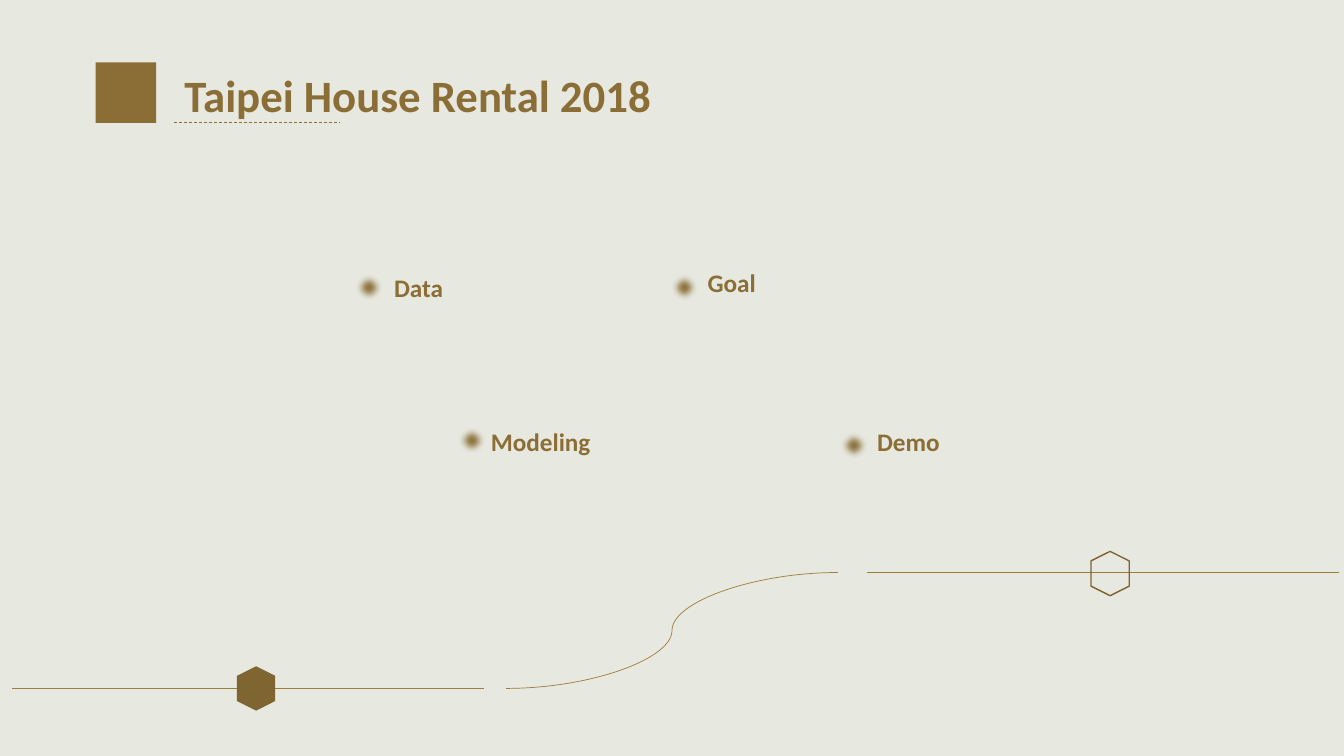
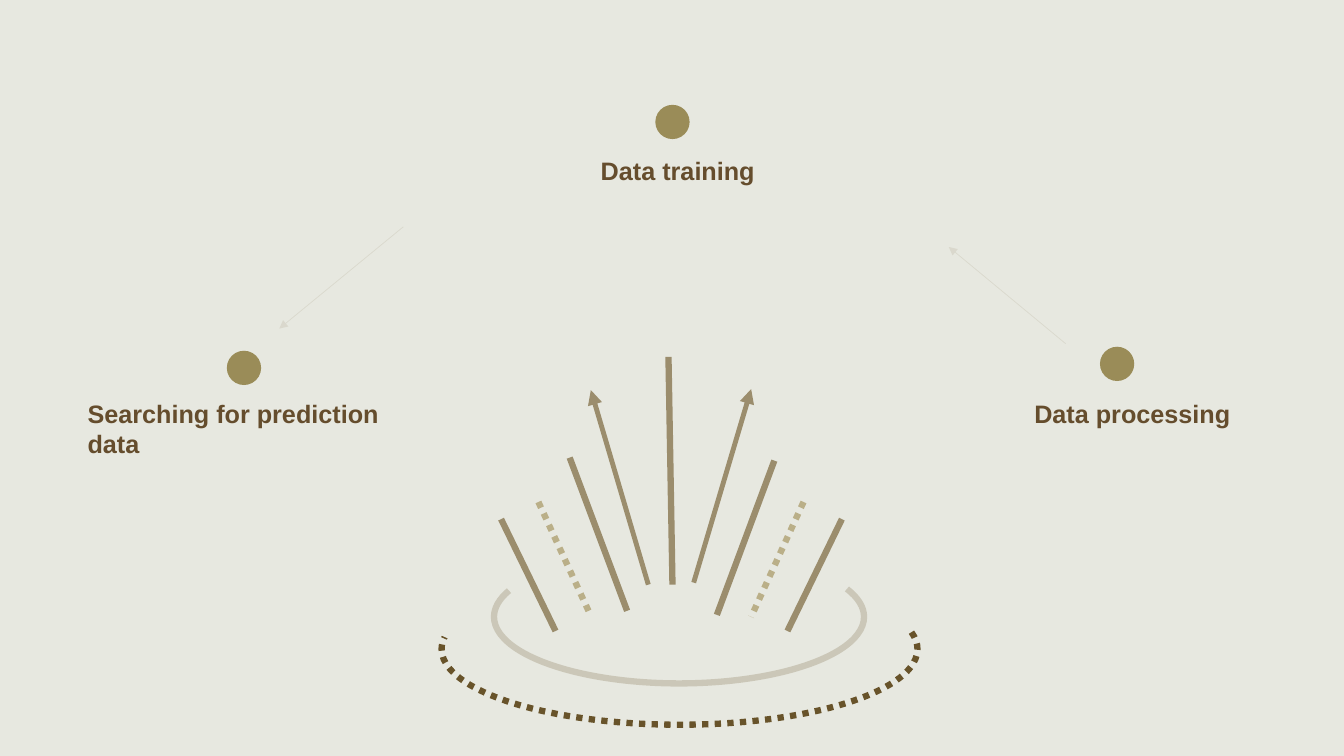
from lxml import etree
from pptx import Presentation
from pptx.dml.color import RGBColor
from pptx.enum.dml import MSO_LINE
from pptx.enum.shapes import MSO_CONNECTOR, MSO_SHAPE
from pptx.enum.text import MSO_AUTO_SIZE
from pptx.oxml.ns import qn
from pptx.util import Inches, Pt

RECTANGLE, ELLIPSE = MSO_SHAPE.RECTANGLE, MSO_SHAPE.OVAL
HEXAGON, ARC = MSO_SHAPE.HEXAGON, MSO_SHAPE.ARC
STRAIGHT, CURVE = MSO_CONNECTOR.STRAIGHT, MSO_CONNECTOR.CURVE
DASH, DOTS = MSO_LINE.DASH, MSO_LINE.ROUND_DOT
FIT_SHAPE = MSO_AUTO_SIZE.SHAPE_TO_FIT_TEXT

COLORS = {
    "background": "E7E8E0",
    "gold": "8A6E36",
    "path": "9D7D3D",
    "hexagon": "7F6531",
    "brown": "68532A",
    "ray": "9B8D6D",
    "dotted_ray": "BAAF88",
    "node": "9A8C58",
    "label": "654D2D",
}

TITLE = {"name": "Calibri", "size": Pt(32), "bold": True}
TOPIC = {"name": "Calibri", "size": Pt(18), "bold": True}
STEP = {"name": "Arial", "size": Pt(18), "bold": True}

TOPICS = [
    ("Data", 3.5, 2.69, 3.81, 2.65, 1.15),
    ("Goal", 6.63, 2.69, 6.92, 2.6, 1.68),
    ("Modeling", 4.52, 4.21, 4.77, 4.18, 1.31),
    ("Demo", 8.31, 4.26, 8.6, 4.18, 1.59),
]

STEPS = [
    ("Data training", 6.5, 1.04, 5.86, 1.49, 1.94),
    ("Searching for prediction data", 2.25, 3.48, 0.77, 3.9, 3.64),
    ("Data processing", 10.91, 3.44, 10.16, 3.9, 2.17),
]

SOLID_RAY = {"color": "ray", "weight": 4.5}
DOTTED_RAY = {"color": "dotted_ray", "weight": 4.5, "dash": DOTS}
ARROW_RAY = {"color": "ray", "weight": 3.5, "arrow": "headEnd"}

RAYS = [
    ((4.97, 5.15), (5.51, 6.26), SOLID_RAY),
    ((5.34, 4.98), (5.86, 6.11), DOTTED_RAY),
    ((5.65, 4.54), (6.22, 6.06), SOLID_RAY),
    ((5.86, 3.87), (6.43, 5.8), ARROW_RAY),
    ((6.63, 3.54), (6.67, 5.8), SOLID_RAY),
    ((7.45, 3.86), (6.88, 5.78), ARROW_RAY),
    ((7.68, 4.57), (7.11, 6.1), SOLID_RAY),
    ((7.97, 4.98), (7.45, 6.12), DOTTED_RAY),
    ((8.35, 5.15), (7.81, 6.26), SOLID_RAY),
]


def color_of(name):
    return RGBColor.from_string(COLORS[name])


def style_line(item, color, weight, dash=None, alpha=None, arrow=None):
    line = item.line
    line.color.rgb = color_of(color)
    line.width = Pt(weight)
    if dash is not None:
        line.dash_style = dash
    outline = item._element.spPr.find(qn("a:ln"))
    if alpha is not None:
        tint = outline.find(".//" + qn("a:srgbClr"))
        etree.SubElement(tint, qn("a:alpha"), val=str(alpha * 1000))
    if arrow:
        etree.SubElement(outline, qn("a:" + arrow), type="triangle")


def add_shape(page, kind, left, top, width, height, fill=None, line=None):
    shape = page.shapes.add_shape(
        kind, Inches(left), Inches(top), Inches(width), Inches(height))
    shape.shadow.inherit = False
    if fill:
        shape.fill.solid()
        shape.fill.fore_color.rgb = color_of(fill)
    else:
        shape.fill.background()
    if line:
        style_line(shape, **line)
    else:
        shape.line.fill.background()
    return shape


def add_soft_dot(page, left, top):
    dot = add_shape(page, ELLIPSE, left, top, 0.32, 0.32, "gold")
    effects = dot._element.spPr.find(qn("a:effectLst"))
    etree.SubElement(effects, qn("a:softEdge"), rad=str(Pt(5)))


def add_hexagon(page, left, top, **look):
    hexagon = add_shape(page, HEXAGON, left, top, 0.44, 0.38, **look)
    hexagon.rotation = 90


def add_arc(page, left, top, width, height, start, end, **line):
    arc = add_shape(page, ARC, left, top, width, height, line=line)
    for index, degrees in enumerate((start, end)):
        arc.adjustments[index] = degrees * 0.6


def add_line(page, start, end, kind=STRAIGHT, **look):
    connector = page.shapes.add_connector(
        kind, *[Inches(value) for value in (*start, *end)])
    style_line(connector, **look)
    etree.SubElement(connector._element.spPr, qn("a:effectLst"))


def add_text(page, text, left, top, width, height, font, color):
    box = page.shapes.add_textbox(
        Inches(left), Inches(top), Inches(width), Inches(height))
    box.text_frame.word_wrap = True
    box.text_frame.auto_size = FIT_SHAPE
    span = box.text_frame.paragraphs[0].add_run()
    span.text = text
    for attribute, value in font.items():
        setattr(span.font, attribute, value)
    span.font.color.rgb = color_of(color)


def add_page(deck):
    return deck.slides.add_slide(deck.slide_layouts[6])


def build_agenda(deck):
    page = add_page(deck)
    add_shape(page, RECTANGLE, 0.95, 0.62, 0.6, 0.6, "gold")
    add_text(page, "Taipei House Rental 2018",
             1.73, 0.62, 5.22, 0.64, TITLE, "gold")
    add_line(page, (1.73, 1.21), (3.37, 1.21),
             color="gold", weight=0.5, dash=DASH)
    for text, dot_left, dot_top, left, top, width in TOPICS:
        add_soft_dot(page, dot_left, dot_top)
        add_text(page, text, left, top, width, 0.4, TOPIC, "gold")
    add_line(page, (5.02, 6.83), (8.31, 5.68), CURVE,
             color="path", weight=0.5)
    for left, level in ((0.12, 6.83), (8.6, 5.68)):
        add_line(page, (left, level), (left + 4.68, level),
                 color="path", weight=0.25)
    add_hexagon(page, 2.32, 6.64, fill="hexagon")
    add_hexagon(page, 10.79, 5.5, line={"color": "hexagon", "weight": 1})


def build_process(deck):
    page = add_page(deck)
    add_arc(page, 4.9, 5.46, 3.67, 1.32, 350.55, 188.77,
            color="brown", weight=4.5, alpha=22)
    add_arc(page, 4.38, 5.69, 4.72, 1.5, 355.82, 182.94,
            color="brown", weight=4.5, dash=DOTS)
    for start, end, look in RAYS:
        add_line(page, start, end, **look)
    for text, node_left, node_top, left, top, width in STEPS:
        add_shape(page, ELLIPSE, node_left, node_top, 0.34, 0.34, "node")
        add_text(page, text, left, top, width, 0.4, STEP, "label")
    for start, end in (((4, 2.25), (2.77, 3.26)),
                       ((10.57, 3.41), (9.41, 2.45))):
        add_line(page, start, end, color="brown", weight=0.5,
                 alpha=10, arrow="tailEnd")


def main():
    deck = Presentation()
    deck.slide_width = Inches(13.33)
    deck.slide_height = Inches(7.5)
    backdrop = deck.slide_master.background.fill
    backdrop.solid()
    backdrop.fore_color.rgb = color_of("background")
    build_agenda(deck)
    build_process(deck)
    deck.save("out.pptx")


if __name__ == "__main__":
    main()
